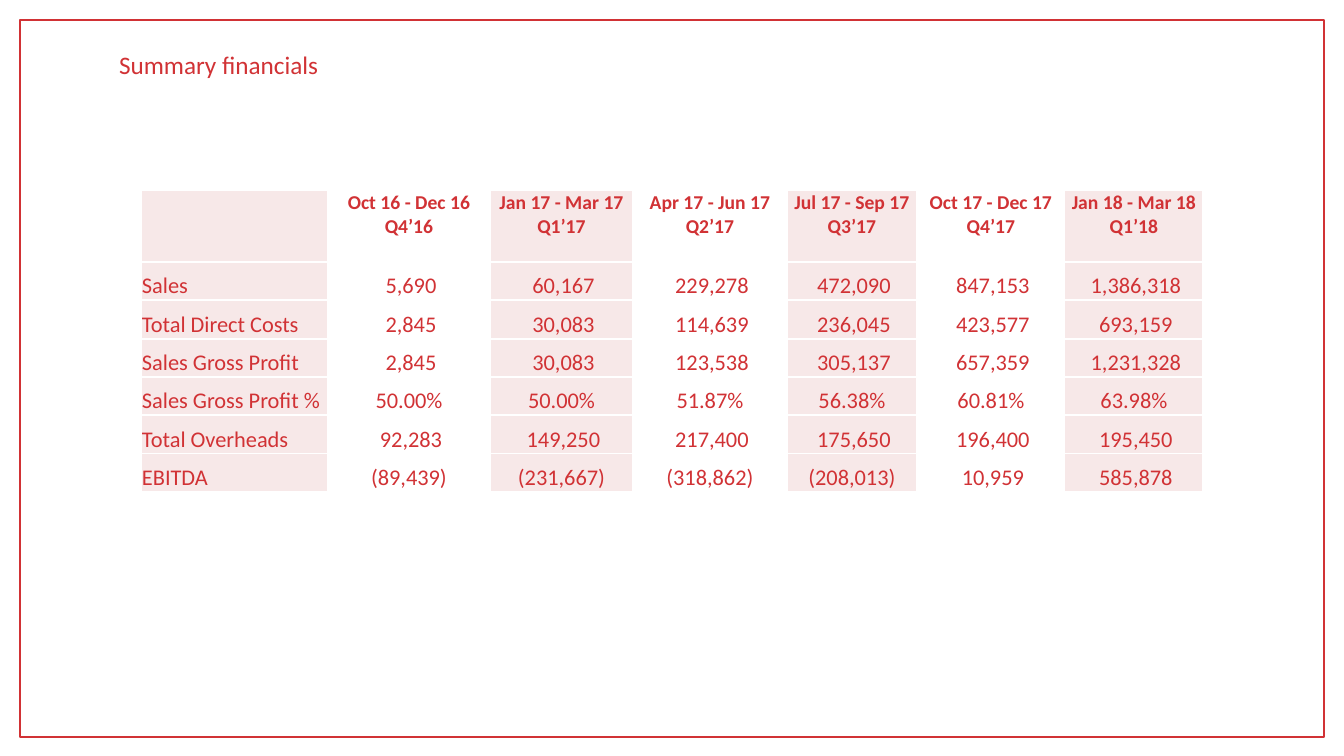
from lxml.etree import SubElement
from pptx import Presentation
from pptx.dml.color import RGBColor
from pptx.enum.shapes import MSO_SHAPE as SHAPE
from pptx.enum.text import MSO_ANCHOR as ANCHOR, PP_ALIGN as ALIGN
from pptx.oxml.ns import qn
from pptx.util import Emu, Pt

RED, PINK, WHITE = "D13235", "F7E8E8", "FFFFFF"
QUARTERS = [
    ("Oct 16 - Dec 16", "Q4’16"), ("Jan 17 - Mar 17", "Q1’17"),
    ("Apr 17 - Jun 17", "Q2’17"), ("Jul 17 - Sep 17", "Q3’17"),
    ("Oct 17 - Dec 17", "Q4’17"), ("Jan 18 - Mar 18", "Q1’18"),
]
FINANCIALS = [
    ("Sales", "5,690", "60,167", "229,278", "472,090", "847,153", "1,386,318"),
    ("Total Direct Costs", "2,845", "30,083", "114,639", "236,045", "423,577", "693,159"),
    ("Sales Gross Profit", "2,845", "30,083", "123,538", "305,137", "657,359", "1,231,328"),
    ("Sales Gross Profit %", "50.00%", "50.00%", "51.87%", "56.38%", "60.81%", "63.98%"),
    ("Total Overheads", "92,283", "149,250", "217,400", "175,650", "196,400", "195,450"),
    ("EBITDA", "(89,439)", "(231,667)", "(318,862)", "(208,013)", "10,959", "585,878"),
]
COLUMN_WIDTHS = [187, 162, 143, 154, 130, 148, 138]
ROW_HEIGHTS = [72, 38, 39, 38, 38, 39, 38]


def px(n):
    return Emu(round(n * 914400 / 100.8))


def rgb(color):
    return RGBColor.from_string(color)


def write(tf, text, size=16, bold=False, color=RED, font="Calibri", align=ALIGN.LEFT, spacing=None):
    for i, line in enumerate(text.split("\n")):
        p = tf.paragraphs[0] if i == 0 else tf.add_paragraph()
        p.alignment = align
        p.line_spacing = spacing
        r = p.add_run()
        r.text = line
        r.font.name, r.font.size, r.font.bold = font, Pt(size), bold
        r.font.color.rgb = rgb(color)


class FinancialSlide:
    """Builds the elements of a red-framed financial slide."""

    def __init__(self, prs):
        self.s = prs.slides.add_slide(prs.slide_layouts[5])

    def frame(self, x, y, w, h):
        sp = self.s.shapes.add_shape(SHAPE.RECTANGLE, px(x), px(y), px(w), px(h))
        sp.shadow.inherit = False
        sp.fill.background()
        sp.line.color.rgb = rgb(RED)
        sp.line.width = Pt(2)

    def title(self, text, x, y, w, h):
        sp = self.s.shapes.title
        sp.left, sp.top, sp.width, sp.height = px(x), px(y), px(w), px(h)
        tf = sp.text_frame
        tf.word_wrap = True
        tf.vertical_anchor = ANCHOR.MIDDLE
        tf.margin_left, tf.margin_top, tf.margin_right, tf.margin_bottom = px(99), px(4), px(80), 0
        write(tf, text, size=18, spacing=0.9)

    def borders(self, cell):
        tcPr = cell._tc.get_or_add_tcPr()
        for side in ("lnL", "lnR", "lnT", "lnB"):
            ln = SubElement(tcPr, qn(f"a:{side}"), w=str(Pt(1)))
            SubElement(SubElement(ln, qn("a:solidFill")), qn("a:srgbClr"), val=WHITE)

    def cell(self, cell, text, row, col):
        self.borders(cell)
        cell.fill.solid()
        cell.fill.fore_color.rgb = rgb(WHITE if col % 2 else PINK)
        plain_number = row and col and text[0].isdigit() and not text.endswith("%")
        cell.margin_left = px(5 if plain_number else 1)
        cell.margin_top = cell.margin_right = px(1)
        cell.margin_bottom = 0
        cell.vertical_anchor = ANCHOR.BOTTOM if row else ANCHOR.TOP
        if text:
            write(cell.text_frame, text, size=16 if row else 14, bold=not row,
                  align=ALIGN.CENTER if col else ALIGN.LEFT)

    def table(self, rows, x, y, widths, heights):
        table = self.s.shapes.add_table(len(rows), len(widths), px(x), px(y),
                                        px(sum(widths)), px(sum(heights))).table
        for column, width in zip(table.columns, widths):
            column.width = px(width)
        for row, height in zip(table.rows, heights):
            row.height = px(height)
        for i, texts in enumerate(rows):
            for j, text in enumerate(texts):
                self.cell(table.cell(i, j), text, i, j)


def main():
    prs = Presentation()
    prs.slide_width, prs.slide_height = px(1344), px(756)
    slide = FinancialSlide(prs)
    slide.frame(20, 20, 1304, 717)
    slide.title("Summary financials", 20, 20, 1304, 88)
    header = ["", *("\n".join(quarter) for quarter in QUARTERS)]
    slide.table([header, *FINANCIALS], 141, 190, COLUMN_WIDTHS, ROW_HEIGHTS)
    prs.save("out.pptx")


if __name__ == "__main__":
    main()
